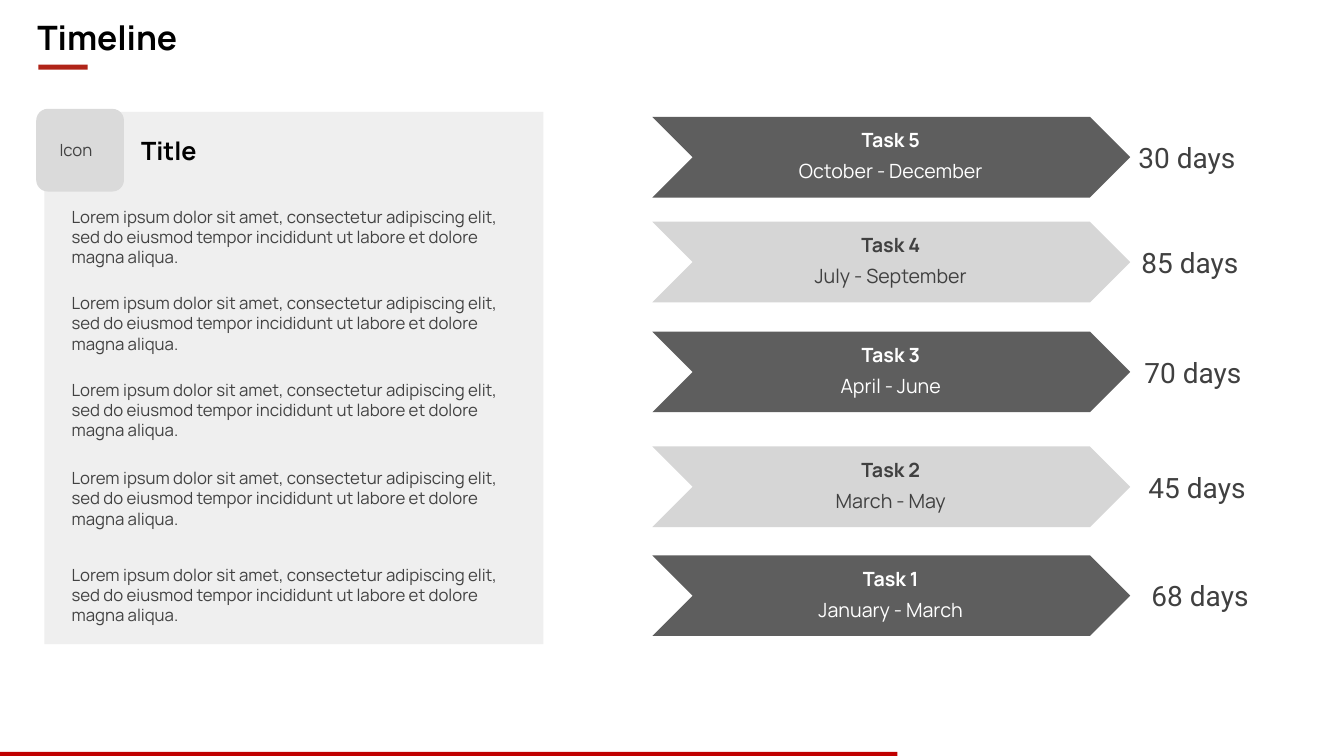
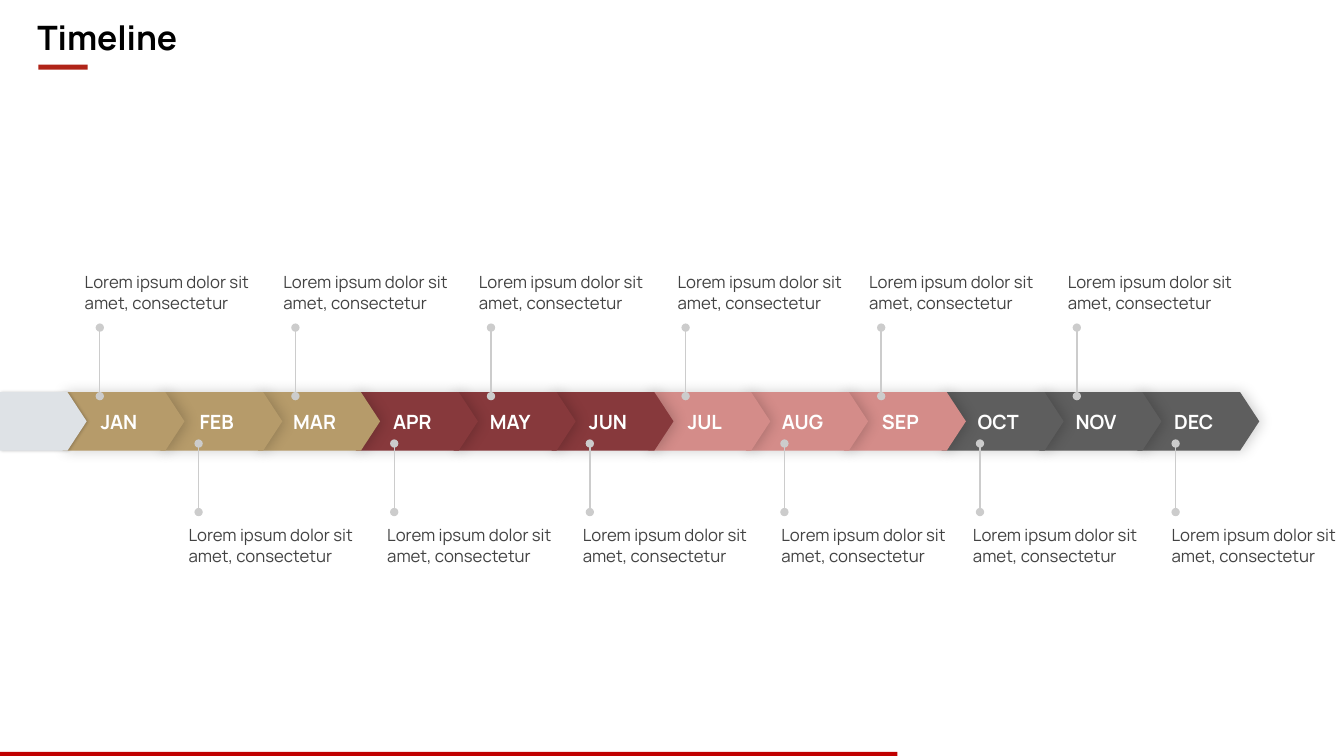
from dataclasses import dataclass

from lxml import etree
from pptx import Presentation
from pptx.dml.color import RGBColor
from pptx.enum.shapes import MSO_CONNECTOR, MSO_SHAPE
from pptx.enum.text import MSO_ANCHOR, MSO_AUTO_SIZE, PP_ALIGN
from pptx.oxml.ns import qn
from pptx.util import Emu, Pt

PX = 9144  # 100 px to the inch
COLORS = {
    "white": "FFFFFF", "black": "000000", "text": "424242", "label": "404040",
    "panel": "EFEFEF", "icon": "DADADA", "dark": "5E5E5E", "light": "D6D6D6",
    "accent": "B02418", "footer": "C00000", "lead": "DEE2E6", "pin": "CCCCCC",
    "gold": "B69B6A", "wine": "87393C", "rose": "D48C89",
}
BODY_FONT, NUMBER_FONT = "Manrope", "Roboto"
LOREM = ("Lorem ipsum dolor sit amet, consectetur adipiscing elit, sed do eiusmod "
         "tempor incididunt ut labore et dolore magna aliqua.")
CAPTION = "Lorem ipsum dolor sit amet, consectetur"


@dataclass(frozen=True)
class Box:
    left: int
    top: int
    width: int
    height: int

    def emu(self) -> tuple:
        return tuple(Emu(n * PX) for n in (self.left, self.top, self.width, self.height))


@dataclass(frozen=True)
class Style:
    size: int
    color: str = "text"
    bold: bool = False
    align: PP_ALIGN = PP_ALIGN.LEFT
    anchor: MSO_ANCHOR = MSO_ANCHOR.TOP
    inset: int = 5
    font: str = BODY_FONT


@dataclass(frozen=True)
class Task:
    name: str
    period: str
    days: str
    top: int
    fill: str
    ink: str


@dataclass(frozen=True)
class Quarter:
    months: tuple
    fill: str


TITLE = Style(24, "black", True)
HEADING = Style(18, "black", True)
BODY = Style(12)
DURATION = Style(20, "label", anchor=MSO_ANCHOR.MIDDLE, inset=0, font=NUMBER_FONT)
MONTH = Style(14, "white", True, PP_ALIGN.CENTER, MSO_ANCHOR.MIDDLE, 0)

TASKS = (
    Task("Task 5", "October - December", "30 days", 116, "dark", "white"),
    Task("Task 4", "July - September", "85 days", 220, "light", "label"),
    Task("Task 3", "April - June", "70 days", 329, "dark", "white"),
    Task("Task 2", "March - May", "45 days", 443, "light", "label"),
    Task("Task 1", "January - March", "68 days", 551, "dark", "white"),
)
QUARTERS = (
    Quarter(("JAN", "FEB", "MAR"), "gold"),
    Quarter(("APR", "MAY", "JUN"), "wine"),
    Quarter(("JUL", "AUG", "SEP"), "rose"),
    Quarter(("OCT", "NOV", "DEC"), "dark"),
)
BODY_GAPS = (0, 18.5, 18.5, 20, 26)  # points before each paragraph
CAPTION_LEFTS = (79, 276, 470, 667, 857, 1054)


def rgb(name: str) -> RGBColor:
    return RGBColor.from_string(COLORS[name])


# Text
def style_paragraph(paragraph, style: Style) -> None:
    paragraph.alignment = style.align
    font = paragraph.font
    font.name, font.size, font.bold = style.font, Pt(style.size), style.bold
    font.color.rgb = rgb(style.color)


def style_frame(frame, style: Style, wrap: bool = True) -> None:
    frame.word_wrap = wrap
    frame.auto_size = MSO_AUTO_SIZE.NONE
    frame.vertical_anchor = style.anchor
    frame.margin_left = frame.margin_right = Emu(style.inset * PX)
    frame.margin_top = frame.margin_bottom = Emu(style.inset * PX)


def add_text(slide, box: Box, text: str, style: Style) -> None:
    frame = slide.shapes.add_textbox(*box.emu()).text_frame
    style_frame(frame, style)
    frame.text = text
    style_paragraph(frame.paragraphs[0], style)


def place(placeholder, box: Box) -> None:
    placeholder.left, placeholder.top, placeholder.width, placeholder.height = box.emu()


def fill_body(placeholder, box: Box) -> None:
    place(placeholder, box)
    frame = placeholder.text_frame
    style_frame(frame, BODY)
    frame.text = "\n".join([LOREM] * len(BODY_GAPS))
    for paragraph, gap in zip(frame.paragraphs, BODY_GAPS):
        properties = paragraph._p.get_or_add_pPr()
        properties.set("marL", "0")
        properties.set("indent", "0")
        etree.SubElement(properties, qn("a:buNone"))
        paragraph.space_before = Pt(gap)
        style_paragraph(paragraph, BODY)


# Shapes
def paint(shape, color: str) -> None:
    shape.shadow.inherit = False
    shape.fill.solid()
    shape.fill.fore_color.rgb = rgb(color)
    shape.line.fill.background()


def add_block(slide, kind: MSO_SHAPE, box: Box, color: str):
    shape = slide.shapes.add_shape(kind, *box.emu())
    paint(shape, color)
    return shape


def add_pennant(slide, box: Box, color: str, blur: float, distance: float) -> None:
    right, bottom = box.left + box.width, box.top + box.height
    shoulder = right - 19
    builder = slide.shapes.build_freeform(box.left, box.top, scale=PX)
    builder.add_line_segments([
        (shoulder, box.top), (right, box.top + box.height // 2),
        (shoulder, bottom), (box.left, bottom),
    ])
    shape = builder.convert_to_shape()
    paint(shape, color)
    effects = shape._element.spPr.find(qn("a:effectLst"))
    shadow = etree.SubElement(effects, qn("a:outerShdw"), blurRad=str(Pt(blur)),
                              dist=str(Pt(distance)), dir="0", algn="ctr", rotWithShape="0")
    tint = etree.SubElement(shadow, qn("a:srgbClr"), val=COLORS["black"])
    etree.SubElement(tint, qn("a:alpha"), val="20000")


def add_pin(slide, x: int, bottom: int, top: int) -> None:
    pin = slide.shapes.add_connector(
        MSO_CONNECTOR.STRAIGHT, *(Emu(n * PX) for n in (x, bottom, x, top)))
    pin.line.color.rgb = rgb("pin")
    pin.line.width = Pt(1)
    line = pin.line._get_or_add_ln()
    for end in ("a:headEnd", "a:tailEnd"):
        etree.SubElement(line, qn(end), type="oval")
    etree.SubElement(pin._element.spPr, qn("a:effectLst"))


# Title, accent and footer shared by the slides
def add_slide(deck, layout: int):
    slide = deck.slides.add_slide(deck.slide_layouts[layout])
    title = slide.shapes.title
    place(title, Box(32, 12, 151, 50))
    style_frame(title.text_frame, TITLE, wrap=False)
    title.text_frame.text = "Timeline"
    style_paragraph(title.text_frame.paragraphs[0], TITLE)
    add_block(slide, MSO_SHAPE.RECTANGLE, Box(38, 64, 49, 5), "accent")
    add_block(slide, MSO_SHAPE.RECTANGLE, Box(0, 746, 890, 5), "footer")
    return slide


def build_tasks(deck) -> None:
    slide = add_slide(deck, 1)
    # Description panel, behind the body text
    panel = add_block(slide, MSO_SHAPE.RECTANGLE, Box(44, 111, 495, 528), "panel")
    slide.shapes._spTree.insert(2, panel._element)
    icon = add_block(slide, MSO_SHAPE.ROUNDED_RECTANGLE, Box(36, 108, 87, 82), "icon")
    icon.adjustments[0] = 0.14
    add_text(slide, Box(54, 134, 49, 29), "Icon", BODY)
    add_text(slide, Box(135, 129, 337, 39), "Title", HEADING)
    fill_body(slide.placeholders[1], Box(66, 200, 449, 422))

    # Task arrows with their durations
    for row, task in enumerate(TASKS):
        add_block(slide, MSO_SHAPE.CHEVRON, Box(647, task.top, 474, 80), task.fill)
        for text, offset, bold in ((task.name, 11, True), (task.period, 42, False)):
            add_text(slide, Box(731, task.top + offset, 305, 26), text,
                     Style(14, task.ink, bold, PP_ALIGN.CENTER, inset=0))
        add_text(slide, Box(1129 + round(row * 3.25), task.top + 23, 169, 34),
                 task.days, DURATION)


def build_months(deck) -> None:
    slide = add_slide(deck, 5)
    months = [(name, quarter.fill) for quarter in QUARTERS for name in quarter.months]
    lefts = [62 + round(1066 * index / 11) for index in range(len(months))]

    # Month band, each month overlapping the next
    for (name, fill), left in reversed(list(zip(months, lefts))):
        add_pennant(slide, Box(left, 389, 121, 58), fill, 10, 1.8)
        add_text(slide, Box(left, 407, 112, 22), name, MONTH)
    add_pennant(slide, Box(0, 389, 86, 58), "lead", 2, 0.8)

    # Pins and captions, alternately above and below
    for index, left in enumerate(lefts):
        pair, below = divmod(index, 2)
        bottom = 508 if below else 393
        add_pin(slide, left + 37 + below, bottom, bottom - 68)
        add_text(slide, Box(CAPTION_LEFTS[pair] + 103 * below, 516 if below else 265, 182, 49),
                 CAPTION, BODY)


def main() -> None:
    deck = Presentation()
    deck.slide_width, deck.slide_height = Emu(1333 * PX), Emu(750 * PX)
    build_tasks(deck)
    build_months(deck)
    deck.save("out.pptx")


if __name__ == "__main__":
    main()
